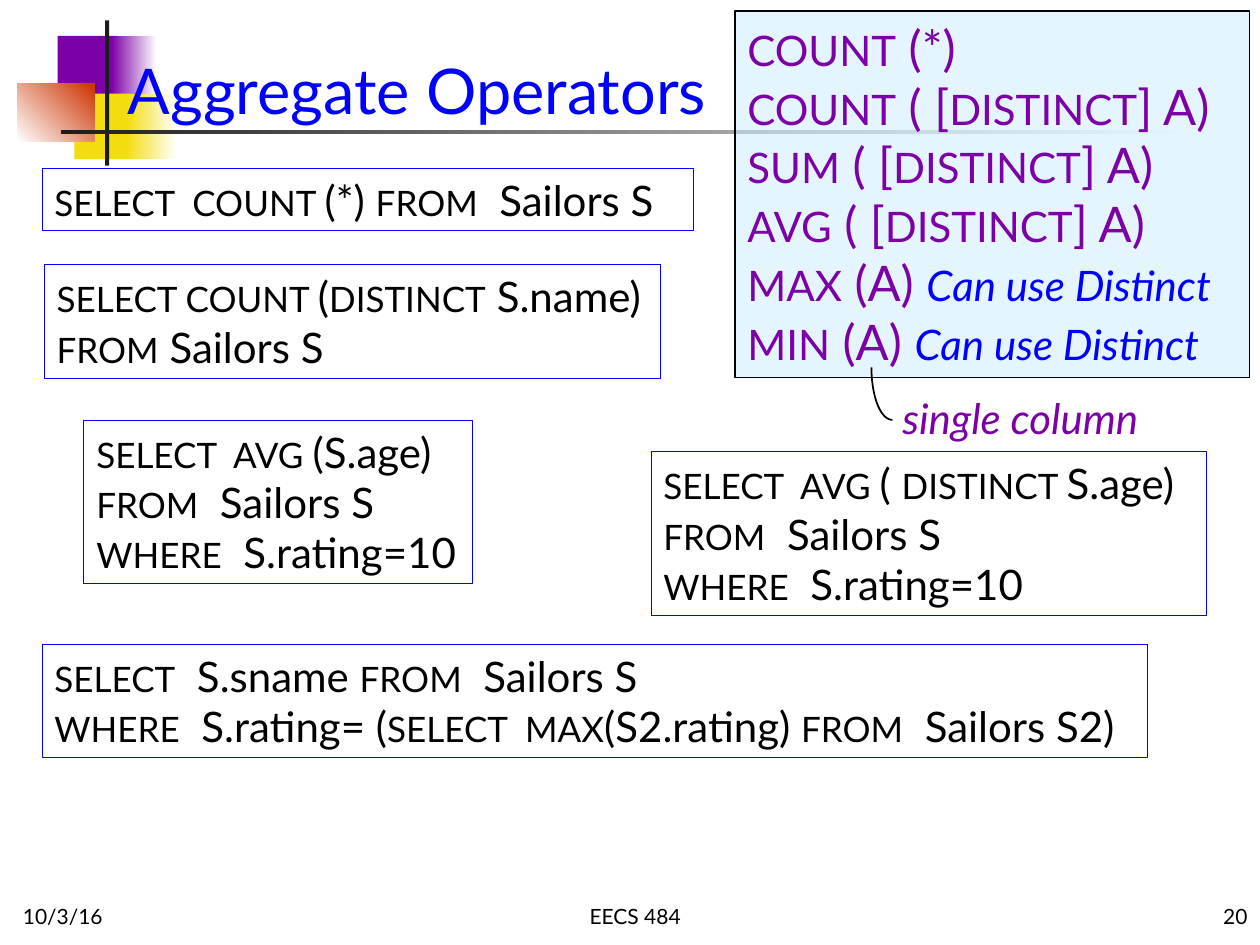
from itertools import cycle

from lxml.etree import SubElement
from pptx import Presentation
from pptx.dml.color import RGBColor
from pptx.enum.shapes import MSO_SHAPE
from pptx.enum.text import MSO_ANCHOR, MSO_AUTO_SIZE, PP_ALIGN
from pptx.oxml.ns import qn
from pptx.util import Pt

COLOURS = {
    "black": "000000", "ink": "1C1C1C", "white": "FFFFFF", "blue": "0000FF",
    "purple": "7B00A6", "yellow": "F3DD0D", "red": "CC3300", "sky": "CCECFF",
}


def colour(name):
    return RGBColor.from_string(COLOURS[name])


def alternate(*parts, sizes=(20, 24), tint="black"):
    """Style one line whose parts switch between keyword and value size."""
    return [(text, size, tint, False) for text, size in zip(parts, cycle(sizes))]


def operator(*parts, note=None):
    """Style one aggregate operator, with an optional remark after it."""
    line = alternate(*parts, sizes=(24, 28), tint="purple")
    return line + [(note, 24, "blue", True)] if note else line


class SlideBuilder:
    font = "Lato"

    def __init__(self, deck):
        self.page = deck.slides.add_slide(deck.slide_layouts[6])

    def rectangle(self, bounds, fill=None, line=None, weight=0.5):
        box = self.page.shapes.add_shape(MSO_SHAPE.RECTANGLE, *map(Pt, bounds))
        box.shadow.inherit = False
        if fill:
            box.fill.solid()
            box.fill.fore_color.rgb = colour(fill)
        else:
            box.fill.background()
        if line:
            box.line.color.rgb = colour(line)
            box.line.width = Pt(weight)
        else:
            box.line.fill.background()
        return box

    def gradient(self, bounds, start, end, angle=0):
        box = self.rectangle(bounds)
        box.fill.gradient()
        box.fill.gradient_angle = angle
        for stop, name, position in zip(box.fill.gradient_stops, (start, end), (0, 1)):
            stop.color.rgb = colour(name)
            stop.position = position

    def add_lines(self, box, lines, wrap=True, grow=True, anchor=MSO_ANCHOR.TOP,
                  align=PP_ALIGN.LEFT):
        frame = box.text_frame
        frame.word_wrap = wrap
        frame.auto_size = MSO_AUTO_SIZE.SHAPE_TO_FIT_TEXT if grow else MSO_AUTO_SIZE.NONE
        frame.vertical_anchor = anchor
        for index, line in enumerate(lines):
            para = frame.add_paragraph() if index else frame.paragraphs[0]
            para.alignment = align
            for text, size, tint, italic in line:
                span = para.add_run()
                span.text = text
                span.font.name = self.font
                span.font.size = Pt(size)
                span.font.italic = italic
                span.font.color.rgb = colour(tint)

    def label(self, bounds, text, size, tint="black", italic=False, **layout):
        box = self.page.shapes.add_textbox(*map(Pt, bounds))
        self.add_lines(box, [[(text, size, tint, italic)]], **layout)

    def query(self, bounds, lines, wrap=False):
        self.add_lines(self.rectangle(bounds, line="blue"), lines, wrap=wrap)

    def panel(self, bounds, lines, opacity):
        box = self.rectangle(bounds, fill="sky", line="black", weight=1)
        tint = box.element.spPr.find(qn("a:solidFill"))[0]
        SubElement(tint, qn("a:alpha"), val=str(opacity * 1000))
        self.add_lines(box, lines)

    def curve(self, *controls, steps=24):
        """Draw an open cubic Bezier curve through its four control points."""
        points = []
        for step in range(steps + 1):
            t = step / steps
            weights = ((1 - t) ** 3, 3 * t * (1 - t) ** 2, 3 * t * t * (1 - t), t ** 3)
            points.append(tuple(
                Pt(sum(w * c[axis] for w, c in zip(weights, controls)))
                for axis in (0, 1)))
        builder = self.page.shapes.build_freeform(*points[0])
        builder.add_line_segments(points[1:], close=False)
        arc = builder.convert_to_shape()
        arc.shadow.inherit = False
        arc.fill.background()
        arc.line.color.rgb = colour("black")
        arc.line.width = Pt(1)


def main():
    deck = Presentation()
    deck.slide_width, deck.slide_height = Pt(720), Pt(540)
    slide = SlideBuilder(deck)

    # Corner ornament
    slide.rectangle((33, 20.5, 34.5, 37), fill="purple")
    slide.gradient((63.5, 20.5, 26, 37), "purple", "white")
    slide.rectangle((42.5, 53.5, 33, 37.5), fill="yellow")
    slide.gradient((72, 53.5, 29, 37.5), "yellow", "white")
    slide.gradient((10, 47.5, 44, 33.5), "white", "red", angle=45)
    slide.rectangle((60, 11.7, 2.4, 83), fill="ink")
    slide.gradient((34.8, 74.3, 648, 2.3), "ink", "white")

    # Footer and title
    for left, width, text, align in (
        (6, 150, "10/3/16", PP_ALIGN.LEFT),
        (168, 390, "EECS 484", PP_ALIGN.CENTER),
        (570, 150, "20", PP_ALIGN.RIGHT),
    ):
        slide.label((left, 498, width, 36), text, 12, grow=False,
                    anchor=MSO_ANCHOR.BOTTOM, align=align)
    slide.label((66, 6, 636, 90), "Aggregate Operators", 36, "blue",
                grow=False, anchor=MSO_ANCHOR.MIDDLE)

    # Operators
    remark = "Can use Distinct"
    slide.panel((420, 6.3, 294, 209.5), [
        operator("COUNT", " (*)"),
        *(operator(name, " ( [", "DISTINCT", "] A)") for name in ("COUNT", "SUM", "AVG")),
        *(operator(name, " (A) ", note=remark) for name in ("MAX", "MIN")),
    ], opacity=50)

    # Example queries
    from_sailors = ("FROM", "  Sailors S")
    rating_filter = [alternate(*from_sailors), alternate("WHERE", "  S.rating=10")]
    slide.query((48, 240, 222, 93.5),
                [alternate("SELECT  AVG ", "(S.age)"), *rating_filter])
    slide.query((24, 96, 372, 36),
                [alternate("SELECT  COUNT ", "(*) ", *from_sailors)], wrap=True)
    slide.query((372, 258, 317.5, 93.5),
                [alternate("SELECT  AVG ", "( ", "DISTINCT ", "S.age)"), *rating_filter])
    slide.query((24, 368, 632, 65), [
        alternate("SELECT", "  S.sname ", *from_sailors),
        alternate("WHERE", "  S.rating= (", "SELECT  MAX", "(S2.rating) ",
                  "FROM", "  Sailors S2)"),
    ])
    slide.query((25.3, 151.2, 352.3, 65), [
        alternate("SELECT COUNT ", "(", "DISTINCT", " S.name)"),
        alternate("FROM", " Sailors S"),
    ])

    # Remark on the operator argument
    slide.label((508.5, 221, 159, 36), "single column", 24, "purple", italic=True, wrap=False)
    slide.curve((510, 240), (503.3, 240), (498, 226.8), (498, 210))

    deck.save("out.pptx")


if __name__ == "__main__":
    main()
